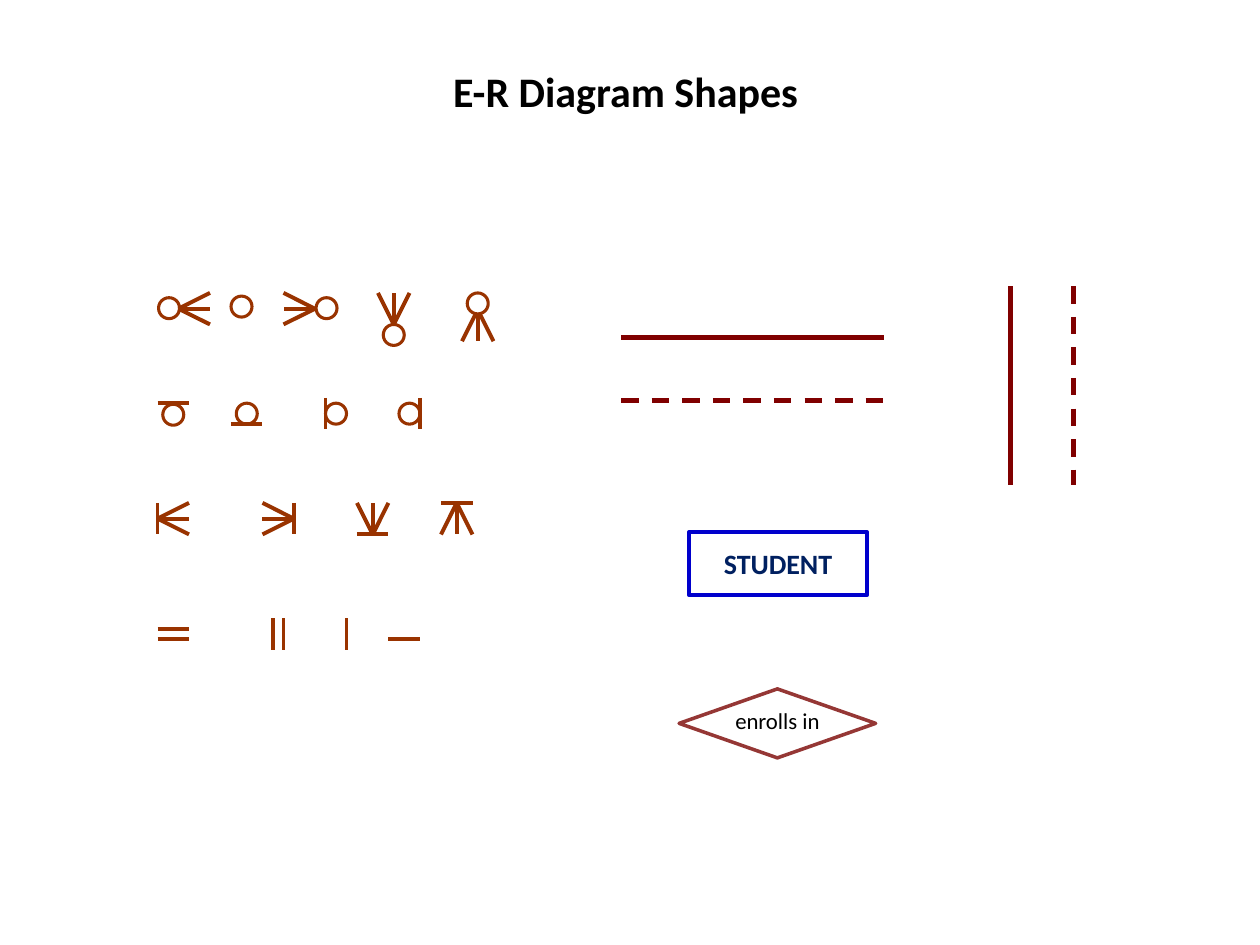
import typing
from dataclasses import dataclass

import pptx
import pptx.dml.color
import pptx.enum.dml
import pptx.enum.shapes
import pptx.enum.text
import pptx.oxml
import pptx.oxml.ns
import pptx.util

SLIDE_WIDTH = pptx.util.Inches(10)
SLIDE_HEIGHT = pptx.util.Inches(7.5)
CELL = pptx.util.Inches(1 / 12)
GRID_TOP = pptx.util.Inches(2.325)
FONT = "Calibri"
COLORS = {
    "notation": "993300",
    "relationship": "800000",
    "entity": "0000CC",
    "entity text": "002060",
    "diamond": "953735",
    "text": "000000",
    "paper": "FFFFFF",
}
SHAPE = pptx.enum.shapes.MSO_SHAPE
ANCHOR = pptx.enum.text.MSO_ANCHOR
SYMBOL_LENGTH = 3  # cells covered by a bar or a crow's foot
CIRCLE_SIZE = 2


class Point(typing.NamedTuple):
    column: float
    row: float


class Box(typing.NamedTuple):
    """Left, top, width and height as shares of the slide."""
    left: float
    top: float
    width: float
    height: float

    def lengths(self) -> list[int]:
        sizes = (SLIDE_WIDTH, SLIDE_HEIGHT) * 2
        return [round(share * size) for share, size in zip(self, sizes)]


@dataclass
class Bar:
    start: Point
    vertical: bool = False


@dataclass
class CrowsFoot:
    """Three toes spreading from the apex towards (across, down)."""
    apex: Point
    across: int
    down: int


@dataclass
class Circle:
    center: Point
    filled: bool = False


@dataclass
class Relationship:
    box: Box
    dashed: bool = False


@dataclass
class Label:
    text: str
    size: float
    color: str
    bold: bool = False
    line_spacing: float = 1.0


FEET = [
    CrowsFoot(Point(17, 1.5), 1, 0), CrowsFoot(Point(30, 1.5), -1, 0),
    CrowsFoot(Point(37.5, 3), 0, -1), CrowsFoot(Point(45.5, 1.6), 0, 1),
    CrowsFoot(Point(15, 21.5), 1, 0), CrowsFoot(Point(28, 21.5), -1, 0),
    CrowsFoot(Point(35.5, 23), 0, -1), CrowsFoot(Point(43.5, 20), 0, 1),
]
BARS = [
    Bar(Point(15, 10.5)), Bar(Point(22, 12.5)),
    Bar(Point(31, 10), True), Bar(Point(40, 10), True),
    Bar(Point(15, 20), True), Bar(Point(28, 20), True),
    Bar(Point(34, 23)), Bar(Point(42, 20)),
    Bar(Point(15, 32)), Bar(Point(15, 33)),
    Bar(Point(26, 31), True), Bar(Point(27, 31), True),
    Bar(Point(33, 31), True), Bar(Point(37, 33)),
]
CIRCLES = [
    Circle(Point(16.1, 1.45)), Circle(Point(23, 1.3)), Circle(Point(31.1, 1.45)),
    Circle(Point(37.5, 4)), Circle(Point(45.5, 1), True),
    Circle(Point(16.5, 11.6)), Circle(Point(23.5, 11.5)),
    Circle(Point(32, 11.5)), Circle(Point(39, 11.5)),
]
RELATIONSHIPS = [
    Relationship(Box(0.493, 0.357, 0.209, 0)),
    Relationship(Box(0.493, 0.424, 0.209, 0), True),
    Relationship(Box(0.802, 0.303, 0, 0.21)),
    Relationship(Box(0.852, 0.303, 0, 0.21), True),
]


def rgb(name: str) -> pptx.dml.color.RGBColor:
    return pptx.dml.color.RGBColor.from_string(COLORS[name])


def on_slide(point: Point) -> tuple[int, int]:
    return round(point.column * CELL), GRID_TOP + round(point.row * CELL)


def set_line(shape, color: str, width: float) -> None:
    shape.line.color.rgb = rgb(color)
    shape.line.width = pptx.util.Pt(width)


def draw_line(shapes, start, end, color: str, width: float):
    connector = shapes.add_connector(
        pptx.enum.shapes.MSO_CONNECTOR.STRAIGHT, *start, *end)
    set_line(connector, color, width)
    properties = connector._element.spPr
    properties.append(pptx.oxml.parse_xml(
        f"<a:effectLst {pptx.oxml.ns.nsdecls('a')}/>"))
    return connector


def draw_outline(shapes, preset, lengths, color: str, width: float):
    shape = shapes.add_shape(preset, *lengths)
    shape.shadow.inherit = False
    shape.fill.background()
    set_line(shape, color, width)
    return shape


def draw_foot(shapes, foot: CrowsFoot) -> None:
    group = shapes.add_group_shape()
    for spread in (-SYMBOL_LENGTH / 2, 0, SYMBOL_LENGTH / 2):
        tip = Point(
            foot.apex.column + foot.across * SYMBOL_LENGTH + abs(foot.down) * spread,
            foot.apex.row + foot.down * SYMBOL_LENGTH + abs(foot.across) * spread)
        draw_line(group.shapes, on_slide(foot.apex), on_slide(tip), "notation", 2.25)


def draw_bar(shapes, bar: Bar) -> None:
    column, row = bar.start
    end = (Point(column, row + SYMBOL_LENGTH) if bar.vertical
           else Point(column + SYMBOL_LENGTH, row))
    draw_line(shapes, on_slide(bar.start), on_slide(end), "notation", 2.25)


def draw_circle(shapes, circle: Circle) -> None:
    radius = CIRCLE_SIZE / 2
    corner = Point(circle.center.column - radius, circle.center.row - radius)
    size = CIRCLE_SIZE * CELL
    shape = draw_outline(shapes, SHAPE.OVAL, (*on_slide(corner), size, size),
                         "notation", 1.75)
    if circle.filled:
        shape.fill.solid()
        shape.fill.fore_color.rgb = rgb("paper")


def draw_relationship(shapes, relationship: Relationship) -> None:
    left, top, width, height = relationship.box.lengths()
    connector = draw_line(shapes, (left, top), (left + width, top + height),
                          "relationship", 2.5)
    if relationship.dashed:
        connector.line.dash_style = pptx.enum.dml.MSO_LINE.DASH


def write_label(shape, label: Label, anchor, inset: tuple[float, float],
                wrap: bool = True) -> None:
    frame = shape.text_frame
    frame.word_wrap = wrap
    frame.auto_size = pptx.enum.text.MSO_AUTO_SIZE.NONE
    frame.vertical_anchor = anchor
    frame.margin_left = frame.margin_right = pptx.util.Inches(inset[0])
    frame.margin_top = frame.margin_bottom = pptx.util.Inches(inset[1])
    paragraph = frame.paragraphs[0]
    paragraph.alignment = pptx.enum.text.PP_ALIGN.CENTER
    paragraph.line_spacing = label.line_spacing
    run = paragraph.add_run()
    run.text = label.text
    run.font.name = FONT
    run.font.size = pptx.util.Pt(label.size)
    run.font.bold = label.bold
    run.font.color.rgb = rgb(label.color)


def main() -> None:
    presentation = pptx.Presentation()
    presentation.slide_width, presentation.slide_height = SLIDE_WIDTH, SLIDE_HEIGHT
    slide = presentation.slides.add_slide(presentation.slide_layouts[5])
    shapes = slide.shapes

    title = shapes.title
    title.left, title.top, title.width, title.height = Box(
        0.133, 0.063, 0.727, 0.067).lengths()
    write_label(title, Label("E-R Diagram Shapes", 24, "text", True),
                ANCHOR.TOP, (0.1, 0.05))

    for foot in FEET:
        draw_foot(shapes, foot)
    for bar in BARS:
        draw_bar(shapes, bar)
    for circle in CIRCLES:
        draw_circle(shapes, circle)
    for relationship in RELATIONSHIPS:
        draw_relationship(shapes, relationship)

    diamond = draw_outline(shapes, SHAPE.FLOWCHART_DECISION,
                           Box(0.539, 0.729, 0.156, 0.073).lengths(), "diamond", 2)
    write_label(diamond, Label("enrolls in", 13, "text", line_spacing=0.8),
                ANCHOR.MIDDLE, (0.04, 0.04))
    entity = draw_outline(shapes, SHAPE.RECTANGLE,
                          Box(0.547, 0.563, 0.141, 0.067).lengths(), "entity", 2.25)
    write_label(entity, Label("STUDENT", 16, "entity text", True),
                ANCHOR.MIDDLE, (0.1, 0.05), wrap=False)
    presentation.save("out.pptx")


if __name__ == "__main__":
    main()
